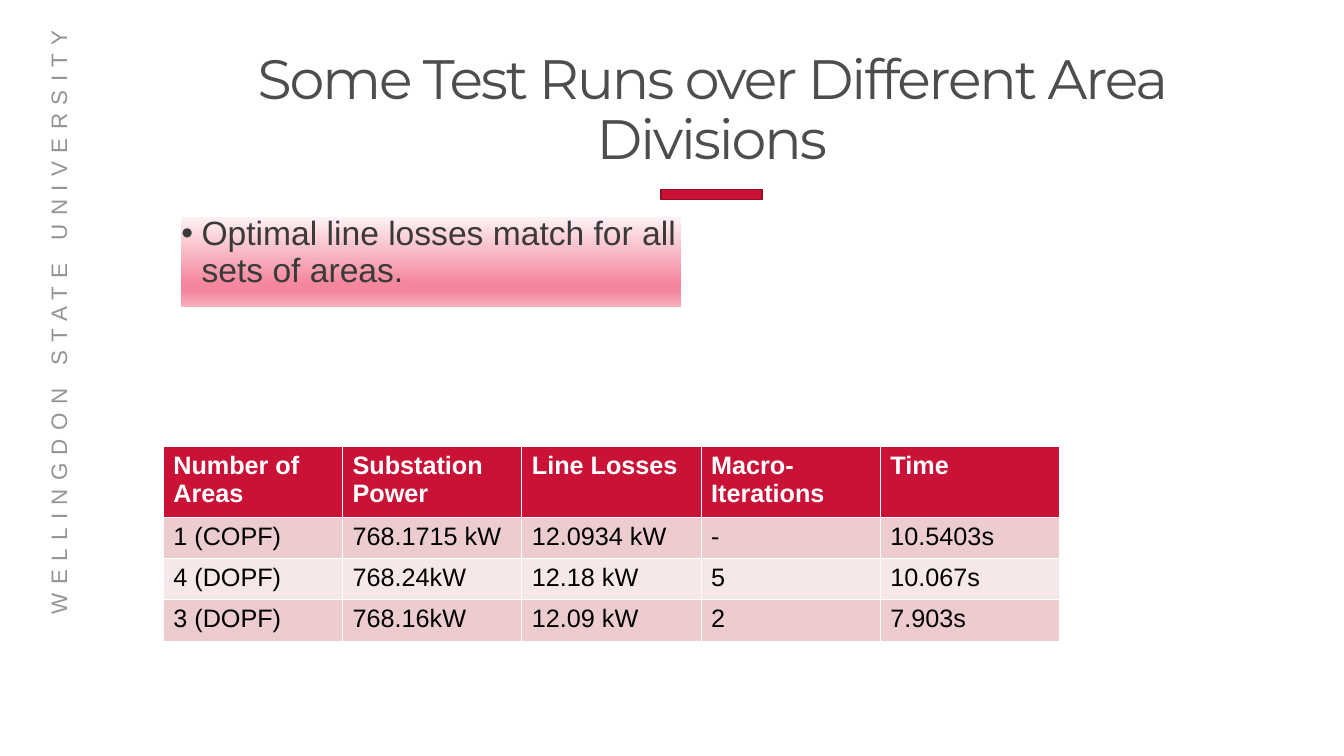
from pptx import Presentation
from pptx.dml.color import RGBColor
from pptx.enum.shapes import MSO_SHAPE
from pptx.enum.text import MSO_ANCHOR, PP_ALIGN
from pptx.oxml.ns import qn
from pptx.util import Inches, Pt
from lxml.etree import SubElement

SLIDE_WIDTH = Inches(13.33)
SLIDE_HEIGHT = Inches(7.5)

WHITE = RGBColor(0xFF, 0xFF, 0xFF)
BLACK = RGBColor(0x00, 0x00, 0x00)
CRIMSON = RGBColor(0xCA, 0x12, 0x37)
DARK_CRIMSON = RGBColor(0x95, 0x0D, 0x29)
TITLE_GRAY = RGBColor(0x4D, 0x4D, 0x4D)
BODY_GRAY = RGBColor(0x3A, 0x3A, 0x3A)
SIDE_GRAY = RGBColor(0x94, 0x94, 0x94)
ODD_ROW = RGBColor(0xEC, 0xCC, 0xCE)
EVEN_ROW = RGBColor(0xF6, 0xE7, 0xE8)
PINK_STOPS = [
    (0, RGBColor(0xFE, 0xF2, 0xF4)),
    (74, RGBColor(0xF4, 0x87, 0x9D)),
    (83, RGBColor(0xF4, 0x87, 0x9D)),
    (100, RGBColor(0xF8, 0xAF, 0xBE)),
]

HEADER_HEIGHT = 8.67
ROW_HEIGHT = 5.47
TEST_RUNS = [
    ["Number of Areas", "Substation Power", "Line Losses", "Macro-Iterations", "Time"],
    ["1 (COPF)", "768.1715 kW", "12.0934 kW", "-", "10.5403s"],
    ["4 (DOPF)", "768.24kW", "12.18 kW", "5", "10.067s"],
    ["3 (DOPF)", "768.16kW", "12.09 kW", "2", "7.903s"],
]


def across(percent):
    return round(SLIDE_WIDTH * percent / 100)


def down(percent):
    return round(SLIDE_HEIGHT * percent / 100)


def area(left, top, width, height):
    return across(left), down(top), across(width), down(height)


def write_text(frame, text, size, color, font="Arial", bold=False, spacing=None,
               align=PP_ALIGN.LEFT, anchor=MSO_ANCHOR.TOP, line_spacing=None, inset=None):
    frame.word_wrap = True
    frame.vertical_anchor = anchor
    if inset is not None:
        frame.margin_left = frame.margin_right = inset
        frame.margin_top = frame.margin_bottom = inset
    paragraph = frame.paragraphs[0]
    paragraph.alignment = align
    paragraph.line_spacing = line_spacing
    run = paragraph.add_run()
    run.text = text
    run.font.size = Pt(size)
    run.font.name = font
    run.font.bold = bold
    run.font.color.rgb = color
    if spacing is not None:
        run.font._element.set("spc", str(round(spacing * 100)))
    return paragraph


def add_bullet(paragraph, indent):
    properties = paragraph._p.get_or_add_pPr()
    properties.set("marL", str(indent))
    properties.set("indent", str(-indent))
    SubElement(properties, qn("a:buFont")).set("typeface", "Arial")
    SubElement(properties, qn("a:buChar")).set("char", "•")


def add_rectangle(slide, place):
    shape = slide.shapes.add_shape(MSO_SHAPE.RECTANGLE, *place)
    shape.shadow.inherit = False
    return shape


def fill_gradient(shape, stops):
    shape.fill.gradient()
    shape.fill.gradient_angle = 270
    stop_list = shape._element.spPr.find(qn("a:gradFill")).find(qn("a:gsLst"))
    for old_stop in list(stop_list):
        stop_list.remove(old_stop)
    for position, color in stops:
        stop = SubElement(stop_list, qn("a:gs"))
        stop.set("pos", str(position * 1000))
        SubElement(stop, qn("a:srgbClr")).set("val", str(color))


def add_side_name(slide):
    side_name = slide.shapes.add_textbox(*area(-18.9, 38.8, 46.5, 4.93))
    side_name.rotation = 270
    write_text(side_name.text_frame, "WELLINGDON STATE UNIVERSITY", 16, SIDE_GRAY, spacing=6)


def add_accent_bar(slide):
    bar = add_rectangle(slide, area(49.2, 25.07, 7.5, 1.33))
    bar.fill.solid()
    bar.fill.fore_color.rgb = CRIMSON
    bar.line.color.rgb = DARK_CRIMSON
    bar.line.width = Pt(1.35)


def add_finding(slide):
    finding = add_rectangle(slide, area(13.5, 28.67, 37.2, 11.87))
    fill_gradient(finding, PINK_STOPS)
    finding.line.fill.background()
    paragraph = write_text(finding.text_frame, "Optimal line losses match for all sets of areas.",
                           24, BODY_GRAY, line_spacing=0.9, inset=0)
    paragraph.space_before = Pt(8)
    add_bullet(paragraph, Inches(0.2))


def add_title(slide):
    title = slide.shapes.add_textbox(*area(14.63, 5.2, 76.67, 17.47))
    write_text(title.text_frame, "Some Test Runs over Different Area Divisions", 39.6, TITLE_GRAY,
               font="Montserrat", spacing=-1.5, align=PP_ALIGN.CENTER,
               anchor=MSO_ANCHOR.BOTTOM, line_spacing=0.9, inset=0)


def add_results_table(slide, rows):
    height = HEADER_HEIGHT + ROW_HEIGHT * (len(rows) - 1)
    place = area(12.15, 59.07, 66.7, height)
    table = slide.shapes.add_table(len(rows), len(rows[0]), *place).table
    for row_index, values in enumerate(rows):
        is_header = row_index == 0
        table.rows[row_index].height = down(HEADER_HEIGHT if is_header else ROW_HEIGHT)
        band = CRIMSON if is_header else (ODD_ROW if row_index % 2 else EVEN_ROW)
        for column_index, value in enumerate(values):
            cell = table.cell(row_index, column_index)
            cell.fill.solid()
            cell.fill.fore_color.rgb = band
            write_text(cell.text_frame, value, 18, WHITE if is_header else BLACK, bold=is_header)


def main():
    presentation = Presentation()
    presentation.slide_width = SLIDE_WIDTH
    presentation.slide_height = SLIDE_HEIGHT
    slide = presentation.slides.add_slide(presentation.slide_layouts[6])
    add_side_name(slide)
    add_accent_bar(slide)
    add_finding(slide)
    add_title(slide)
    add_results_table(slide, TEST_RUNS)
    presentation.save("out.pptx")


if __name__ == "__main__":
    main()
